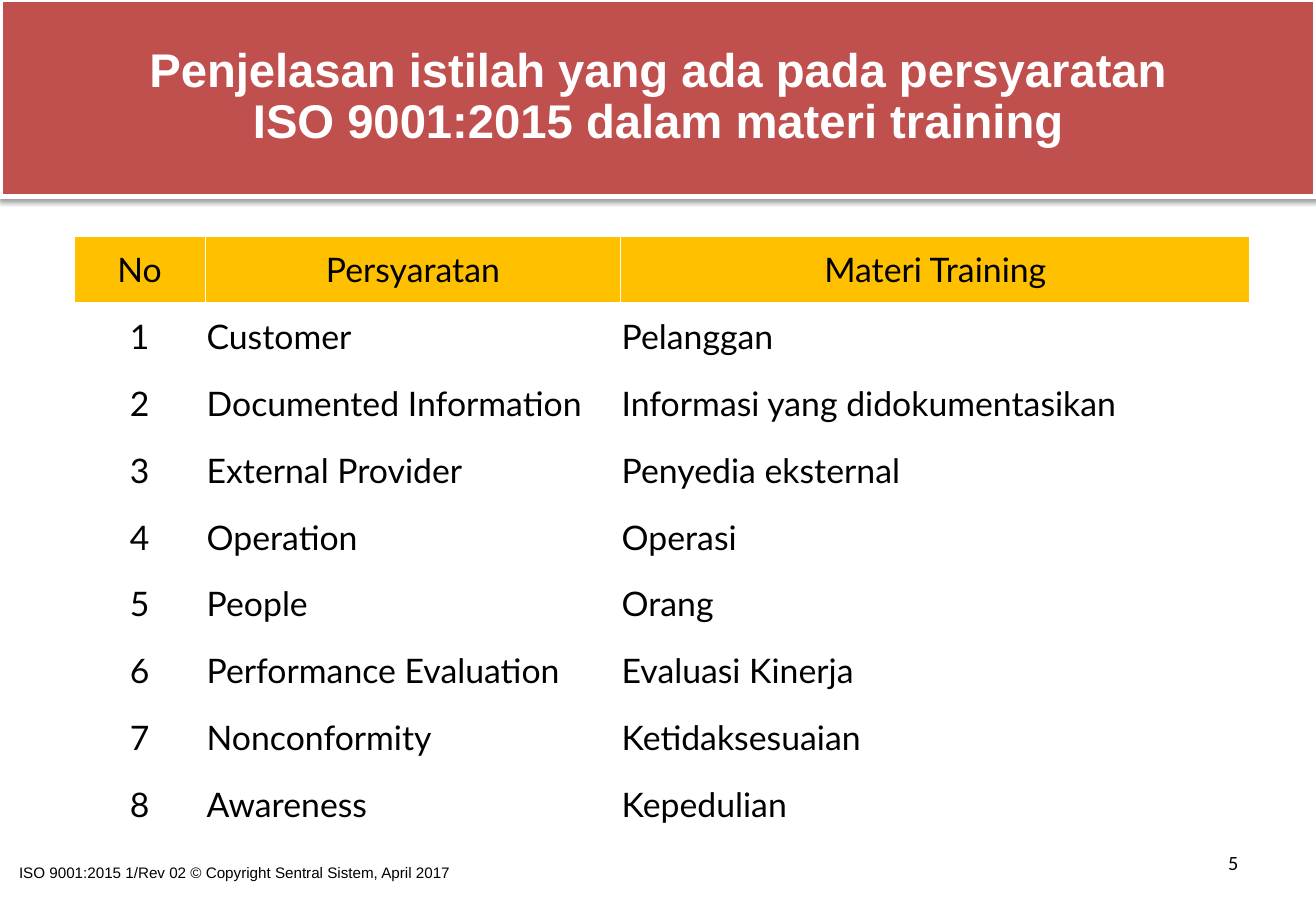
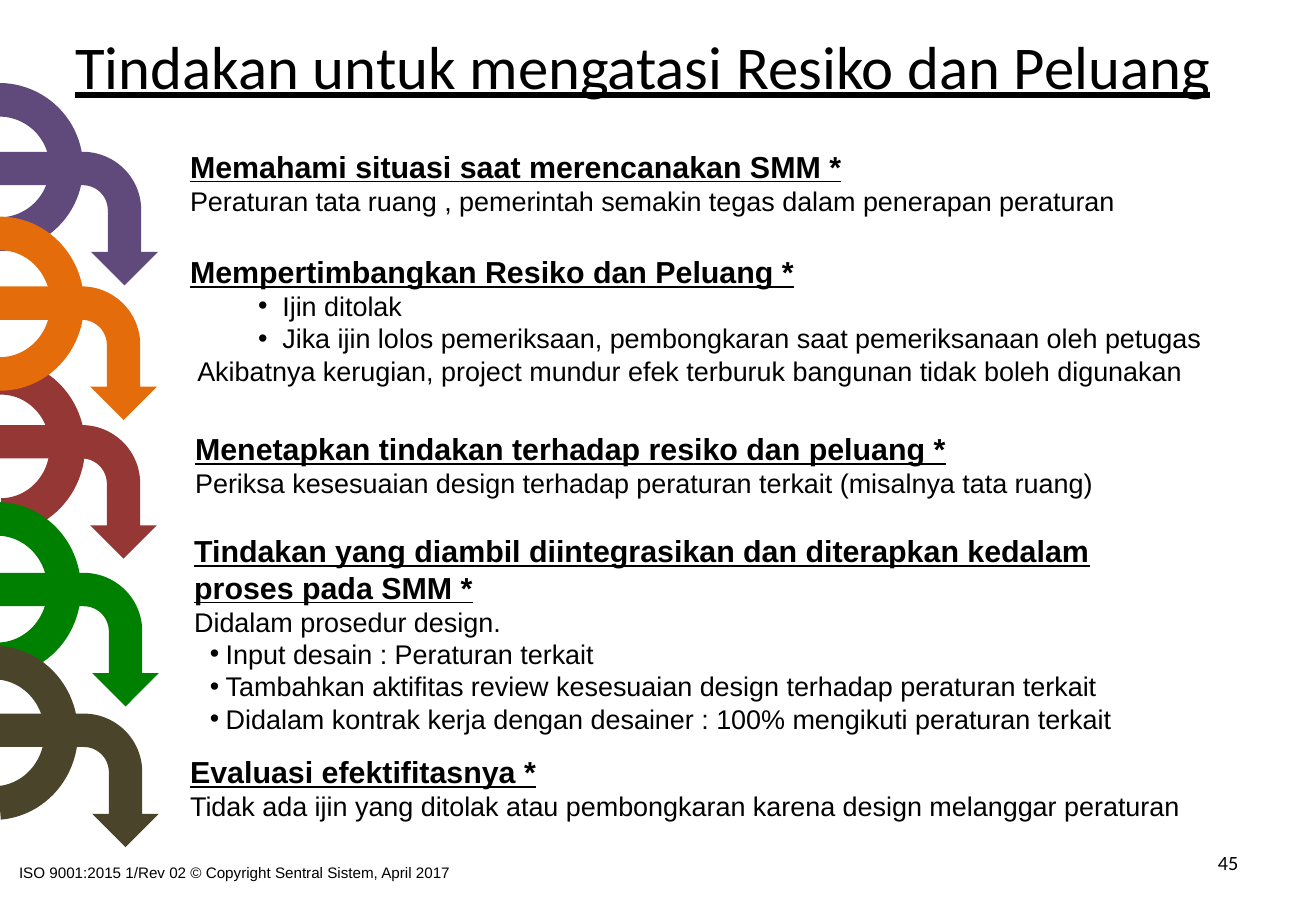
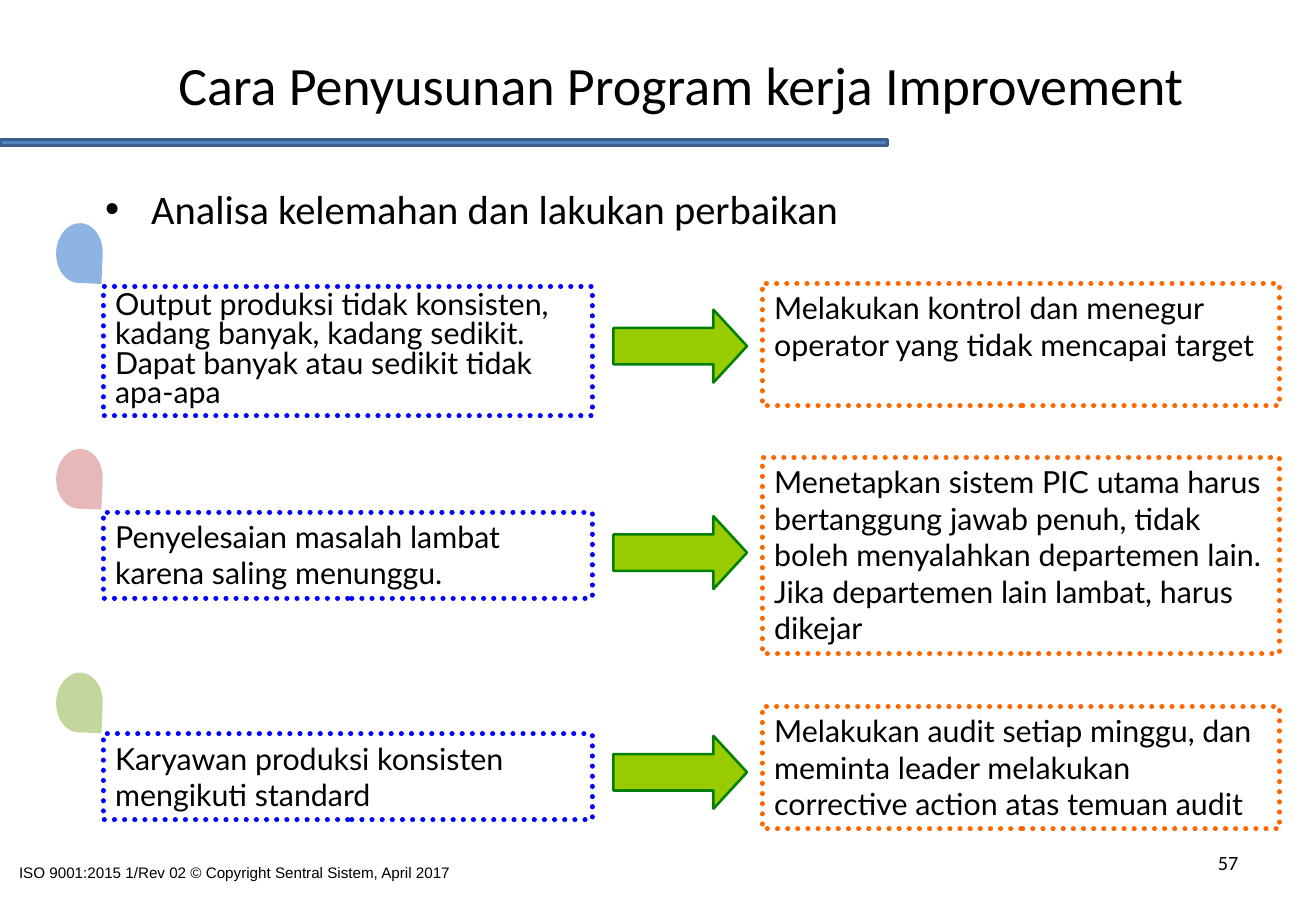
from lxml.etree import SubElement
from pptx import Presentation
from pptx.dml.color import RGBColor
from pptx.enum.dml import MSO_LINE
from pptx.enum.shapes import MSO_SHAPE as Preset
from pptx.enum.text import MSO_ANCHOR as Anchor, PP_ALIGN as Align
from pptx.oxml import parse_xml
from pptx.oxml.ns import nsdecls, qn
from pptx.util import Inches, Pt

# The slide is a grid of 130 columns by 90 rows; each cell is a square.
COLUMNS, ROWS = 130, 90
CELL = Inches(7.5) / ROWS

BLACK, WHITE = "000000", "FFFFFF"
BAND_RED, HEADER_GOLD = "C0504D", "FFC000"
PROBLEM_BLUE, ACTION_ORANGE = "0000FF", "FF6600"
ARROW_GREEN, ARROW_EDGE = "99CC00", "008000"
BAR_BLUE, BAR_EDGE = "4F81BD", "3A5F8C"
FOOTER = "ISO 9001:2015 1/Rev 02 © Copyright Sentral Sistem, April 2017"

TERMS = [
    ("No", "Persyaratan", "Materi Training"),
    ("1", "Customer", "Pelanggan"),
    ("2", "Documented Information", "Informasi yang didokumentasikan"),
    ("3", "External Provider", "Penyedia eksternal"),
    ("4", "Operation", "Operasi"),
    ("5", "People", "Orang"),
    ("6", "Performance Evaluation", "Evaluasi Kinerja"),
    ("7", "Nonconformity", "Ketidaksesuaian"),
    ("8", "Awareness", "Kepedulian"),
]

# Paragraph formats: left margin and first-line indent in inches
PLAIN = {}
DEEP_BULLET = {"indent": (0.76, -0.2), "bullet": True}
BULLET = {"indent": (0.26, -0.13), "bullet": True}
HANGING = {"indent": (0.26, -0.2)}

# Place, heading, body lines with their format
RISK_STEPS = [
    ((17.6, 14, 111.6, 8), "Memahami situasi saat merencanakan SMM *", [
        ("Peraturan tata ruang , pemerintah semakin tegas dalam penerapan peraturan", PLAIN)]),
    ((17.6, 24.4, 103.4, 14.5), "Mempertimbangkan Resiko dan Peluang *", [
        ("Ijin ditolak", DEEP_BULLET),
        ("Jika ijin lolos pemeriksaan, pembongkaran saat pemeriksanaan oleh petugas", DEEP_BULLET),
        ("Akibatnya kerugian, project mundur efek terburuk bangunan tidak boleh digunakan", HANGING)]),
    ((18.1, 41.9, 96.2, 8), "Menetapkan tindakan terhadap resiko dan peluang *", [
        ("Periksa kesesuaian design terhadap peraturan terkait (misalnya tata ruang)", PLAIN)]),
    ((18, 52, 100.2, 21.4),
     "Tindakan yang diambil diintegrasikan dan diterapkan kedalam proses pada SMM *", [
        ("Didalam prosedur design.", PLAIN),
        ("Input desain : Peraturan terkait", BULLET),
        ("Tambahkan aktifitas review kesesuaian design terhadap peraturan terkait", BULLET),
        ("Didalam kontrak kerja dengan desainer : 100% mengikuti peraturan terkait", BULLET)]),
    ((17.6, 73.8, 102.1, 8), "Evaluasi efektifitasnya *", [
        ("Tidak ada ijin yang ditolak atau pembongkaran karena design melanggar peraturan", PLAIN)]),
]

# Colour, arc (left, top, width), arc adjustments, arrow (left, top); back to front
LOOPS = [
    ("604A7B", (-8.4, 8.2, 16.6), (108, 215.96, 0.2), (1.1, 13.7)),
    ("953735", (-8.5, 35.8, 17.2), (107.17, 215.96, 0.21), (1, 40.7)),
    ("E46C0A", (-8.6, 21.7, 17.2), (108, 1.29, 0.2), (1, 27)),
    ("008000", (-8.9, 49.9, 17.2), (108, 1.29, 0.2), (1.2, 55.3)),
    ("4A452A", (-9.2, 64.1, 17.2), (108, 213.29, 0.2), (1.2, 69.2)),
]

# Drop (colour, top), problem (top, height, spacing, text), arrow top,
# action (top, height, text)
IMPROVEMENTS = [
    (("8EB4E3", 22.7),
     (28.3, 12.8, 0.8, "Output produksi tidak konsisten, kadang banyak, kadang sedikit. "
                       "Dapat banyak atau sedikit tidak apa-apa"),
     30.6,
     (28, 12.1, "Melakukan kontrol dan menegur operator yang tidak mencapai target")),
    (("E6B9B8", 45),
     (50.6, 8.5, None, "Penyelesaian masalah lambat karena saling menunggu."),
     51,
     (45.2, 19.4, "Menetapkan sistem PIC utama harus bertanggung jawab penuh, tidak boleh "
                  "menyalahkan departemen lain. Jika departemen lain lambat, harus dikejar")),
    (("C3D69B", 67.1),
     (72.5, 8.5, None, "Karyawan produksi konsisten mengikuti standard"),
     72.7,
     (69.8, 12.1, "Melakukan audit setiap minggu, dan meminta leader melakukan "
                  "corrective action atas temuan audit")),
]


def cells(*counts):
    """Turn counts of grid cells into lengths."""
    return [round(count * CELL) for count in counts]


def paint(fill, color):
    """Give a fill a solid colour, or none."""
    if color is None:
        fill.background()
    else:
        fill.solid()
        fill.fore_color.rgb = RGBColor.from_string(color)


def write(frame, text, size=18, font="Calibri", color=BLACK, bold=False, underline=False,
          align=Align.LEFT, spacing=None, indent=None, bullet=False):
    """Write one paragraph into a text frame, using its empty first one if there is one."""
    paragraph = frame.paragraphs[0]
    if paragraph.runs:
        paragraph = frame.add_paragraph()
    properties = paragraph._p.get_or_add_pPr()
    if indent:
        margin, first_line = indent
        properties.set("marL", str(Inches(margin)))
        properties.set("indent", str(Inches(first_line)))
    if bullet:
        SubElement(properties, qn("a:buFont")).set("typeface", "Arial")
        SubElement(properties, qn("a:buChar")).set("char", "•")
    paragraph.alignment = align
    if spacing:
        paragraph.line_spacing = spacing
    run = paragraph.add_run()
    run.text = text
    run.font.size = Pt(size)
    run.font.name = font
    run.font.bold = bold
    run.font.underline = underline
    paint(run.font.fill, color)


def add_text_box(slide, place, text=None, anchor=Anchor.TOP, **text_format):
    frame = slide.shapes.add_textbox(*cells(*place)).text_frame
    frame.word_wrap = True
    frame.vertical_anchor = anchor
    if text:
        write(frame, text, **text_format)
    return frame


def add_preset(slide, preset, place, fill=None, line=None, width=1, rotation=0, adjustments=()):
    shape = slide.shapes.add_shape(preset, *cells(*place))
    shape.shadow.inherit = False
    shape.rotation = rotation
    for index, value in enumerate(adjustments):
        shape.adjustments[index] = value
    paint(shape.fill, fill)
    paint(shape.line.fill, line)
    if line:
        shape.line.width = Pt(width)
    return shape


def add_soft_shadow(shape):
    effects = shape._element.spPr.find(qn("a:effectLst"))
    effects.append(parse_xml(
        f'<a:outerShdw {nsdecls("a")} blurRad="{Pt(3.1)}" dist="{Pt(1.6)}" dir="5400000" '
        'rotWithShape="0"><a:srgbClr val="000000"><a:alpha val="38000"/></a:srgbClr>'
        '</a:outerShdw>'))


def add_dotted_box(slide, place, line, text, spacing=None):
    shape = add_preset(slide, Preset.RECTANGLE, place, line=line, width=3)
    shape.line.dash_style = MSO_LINE.ROUND_DOT
    shape._element.spPr.find(qn("a:ln")).set("cap", "rnd")
    shape.text_frame.word_wrap = True
    shape.text_frame.vertical_anchor = Anchor.TOP
    write(shape.text_frame, text, font="Lato", spacing=spacing)


def add_cell_borders(cell, color):
    properties = cell._tc.get_or_add_tcPr()
    for index, side in enumerate(("lnL", "lnR", "lnT", "lnB")):
        properties.insert(index, parse_xml(
            f'<a:{side} {nsdecls("a")} w="{Pt(1)}"><a:solidFill><a:srgbClr val="{color}"/>'
            f'</a:solidFill></a:{side}>'))


def add_terms_table(slide, left, top, widths, row_height):
    table = slide.shapes.add_table(
        len(TERMS), len(widths),
        *cells(left, top, sum(widths), row_height * len(TERMS))).table
    table.first_row = table.horz_banding = False
    for column, width in zip(table.columns, cells(*widths)):
        column.width = width
    for row_index, terms in enumerate(TERMS):
        table.rows[row_index].height = cells(row_height)[0]
        for column_index, term in enumerate(terms):
            cell = table.cell(row_index, column_index)
            cell.margin_left = cell.margin_right = cell.margin_top = Inches(0.01)
            cell.margin_bottom = 0
            cell.vertical_anchor = Anchor.MIDDLE
            paint(cell.fill, WHITE if row_index else HEADER_GOLD)
            add_cell_borders(cell, WHITE)
            centred = row_index == 0 or column_index == 0
            write(cell.text_frame, term, size=20, font="Lato",
                  align=Align.CENTER if centred else Align.LEFT)


def add_title(slide, place, text, **text_format):
    add_text_box(slide, place, text, anchor=Anchor.MIDDLE, align=Align.CENTER, **text_format)


def start_slide(presentation, number):
    """Add a blank slide with the shared footer and its page number."""
    slide = presentation.slides.add_slide(presentation.slide_layouts[6])
    add_text_box(slide, (0.7, 84.7, 84.9, 3.5), FOOTER, size=9, font="Arial")
    add_text_box(slide, (93.1, 83.4, 30.4, 4.8), number, size=12, align=Align.RIGHT)
    return slide


def build_terms_slide(presentation):
    slide = start_slide(presentation, "5")
    add_terms_table(slide, 7.3, 23.3, (13, 41, 62.2), 6.6)
    band = add_preset(slide, Preset.RECTANGLE, (0, 0, COLUMNS, 19.4), BAND_RED, WHITE, 3)
    add_soft_shadow(band)
    band.text_frame.word_wrap = True
    for line in ("Penjelasan istilah yang ada pada persyaratan",
                 "ISO 9001:2015 dalam materi training"):
        write(band.text_frame, line, size=28, font="Arial", color=WHITE, bold=True,
              align=Align.CENTER, spacing=0.9)


def build_risk_slide(presentation):
    slide = start_slide(presentation, "45")
    add_title(slide, (5, 0.4, 117, 12), "Tindakan untuk mengatasi Resiko dan Peluang",
              size=36, underline=True)
    for place, heading, lines in RISK_STEPS:
        frame = add_text_box(slide, place, heading, font="Arial", bold=True, underline=True)
        for line, line_format in lines:
            write(frame, line, size=16, font="Arial", **line_format)
    for color, arc, adjustments, arrow in LOOPS:
        add_preset(slide, Preset.BLOCK_ARC, (*arc, 16.6), color, rotation=90,
                   adjustments=adjustments)
        add_preset(slide, Preset.BENT_ARROW, (*arrow, 13.2, 15.8), color, rotation=90)


def build_improvement_slide(presentation):
    slide = start_slide(presentation, "57")
    add_title(slide, (9.4, 2.6, 117, 11.3), "Cara Penyusunan Program kerja Improvement ", size=32)
    add_text_box(slide, (9.2, 17.6, 92.6, 6.6), "Analisa kelemahan dan lakukan perbaikan",
                 size=24, indent=(0.38, -0.38), bullet=True)
    add_preset(slide, Preset.RECTANGLE, (0, 13.8, 87.7, 0.6), BAR_BLUE, BAR_EDGE, 2)
    for drop, problem, arrow_top, action in IMPROVEMENTS:
        drop_color, drop_top = drop
        top, height, spacing, text = problem
        add_dotted_box(slide, (10.2, top, 48.3, height), PROBLEM_BLUE, text, spacing)
        top, height, text = action
        add_dotted_box(slide, (75.3, top, 51.1, height), ACTION_ORANGE, text)
        add_preset(slide, Preset.RIGHT_ARROW, (60.6, arrow_top, 13.2, 7.2), ARROW_GREEN,
                   ARROW_EDGE, 1.5, adjustments=(0.5, 0.46))
        add_preset(slide, Preset.TEAR, (4.9, drop_top, 5.9, 4.6), drop_color, rotation=92.5)


def main():
    presentation = Presentation()
    presentation.slide_width, presentation.slide_height = cells(COLUMNS, ROWS)
    build_terms_slide(presentation)
    build_risk_slide(presentation)
    build_improvement_slide(presentation)
    presentation.save("out.pptx")


if __name__ == "__main__":
    main()
